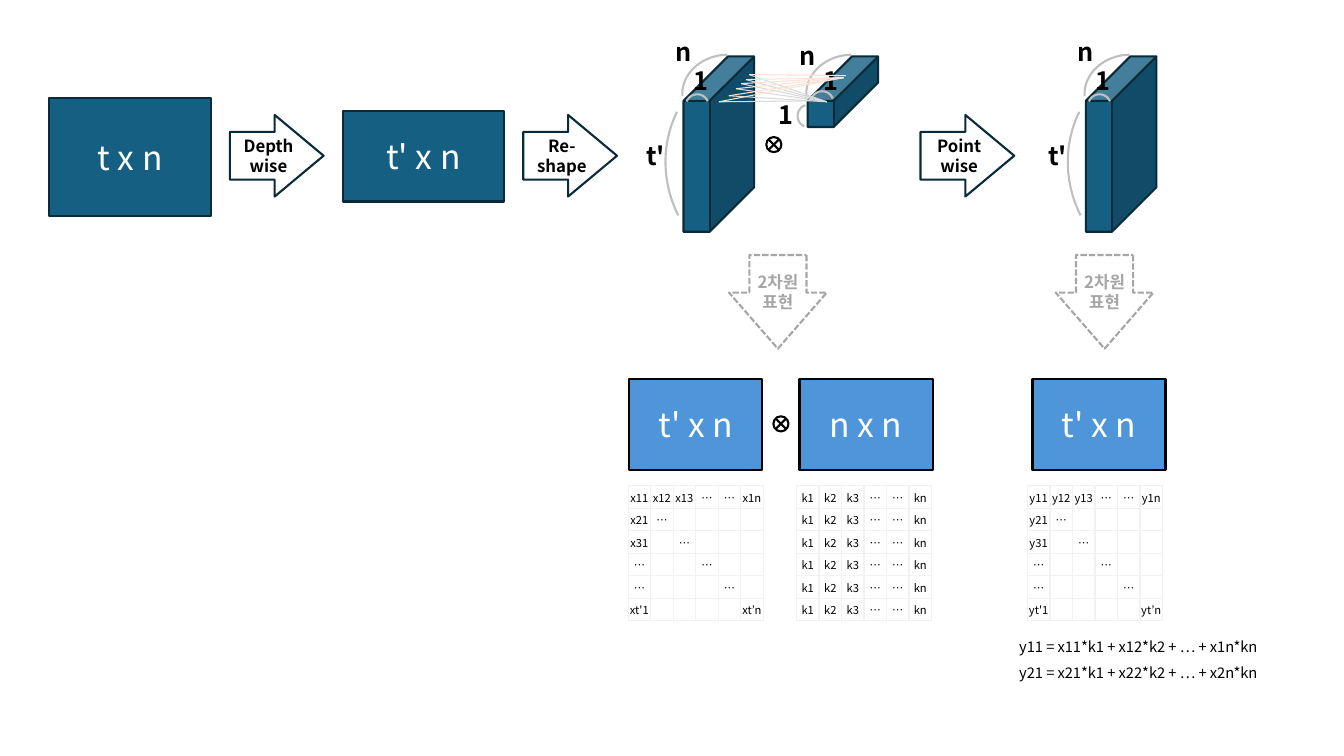
from copy import deepcopy

from lxml.etree import SubElement
from pptx import Presentation
from pptx.dml.color import RGBColor as Rgb
from pptx.enum.dml import MSO_LINE
from pptx.enum.shapes import MSO_CONNECTOR, MSO_SHAPE as Shape
from pptx.enum.text import MSO_ANCHOR as Anchor, MSO_AUTO_SIZE as AutoSize, PP_ALIGN as Align
from pptx.oxml.ns import qn
from pptx.util import Pt

PX = 9144
FONT = "Noto Sans CJK KR"
COLORS = {"teal": "156082", "navy": "092A39", "blue": "4E95D9", "white": "FFFFFF", "black": "000000",
          "arc": "BFBFBF", "dash": "A6A6A6", "grid": "F2F2F2", "gray": "D9D9D9", "peach": "FBE3D6"}
TOP_ARC = {"rotation": 259.2, "adjust": (164.729, 8.504)}
SIDE_ARC = {"rotation": 222.1, "adjust": (175.66, 207.082)}
UNIT_ARC = {"rotation": 270, "adjust": (172.412, 43.102)}
GRID_SIZE = 6


def color(name):
    """Return a named colour."""
    return Rgb.from_string(COLORS[name])


def emu(*lengths):
    """Turn px lengths into EMU."""
    return [round(length * PX) for length in lengths]


def write(frame, text, size, ink="black", bold=False, **layout):
    """Fill a text frame; newlines split paragraphs, vertical tabs break lines."""
    frame.text = text
    for para in frame.paragraphs:
        for name, value in layout.items():
            setattr(para, name, value)
        for span in para.runs:
            for name, value in {"size": Pt(size), "bold": bold, "name": FONT}.items():
                setattr(span.font, name, value)
            span.font.color.rgb = color(ink)
            SubElement(span.font._element, qn("a:ea")).set("typeface", FONT)
        for line_break in para._p.findall(qn("a:br")):
            line_break.append(deepcopy(para.runs[0].font._element))


def add_shape(shapes, kind, box, fill, line, adjust=(), rotation=0):
    """Add a preset shape with an outline and an optional fill."""
    shape = shapes.add_shape(kind, *emu(*box))
    shape.shadow.inherit = False
    shape.rotation = rotation
    for index, value in enumerate(adjust):
        shape.adjustments[index] = value
    if fill:
        shape.fill.solid()
        shape.fill.fore_color.rgb = color(fill)
    else:
        shape.fill.background()
    shape.line.color.rgb = color(line)
    shape.line.width = Pt(1.5)
    return shape


def add_text(shapes, box, text, size, **style):
    """Add a wrapping text box that grows with its text."""
    frame = shapes.add_textbox(*emu(*box)).text_frame
    frame.word_wrap = True
    frame.auto_size = AutoSize.SHAPE_TO_FIT_TEXT
    write(frame, text, size, **style)


def add_matrix_box(shapes, box, text, fill, line):
    """Add a rectangle naming the size of a matrix."""
    shape = add_shape(shapes, Shape.RECTANGLE, box, fill, line)
    shape.text_frame.vertical_anchor = Anchor.MIDDLE
    write(shape.text_frame, text, 24, "white", alignment=Align.CENTER)


def add_step(shapes, box, text, line="navy", ink="black", down=False):
    """Add a labelled block arrow pointing right or down."""
    arrow = add_shape(shapes, Shape.RIGHT_ARROW, box, "white", line, (0.584, 0.599), 90 if down else 0)
    frame = arrow.text_frame
    margins = dict(zip(("margin_left", "margin_top", "margin_right", "margin_bottom"), emu(12, 0, 0, 0)))
    for name, value in {**margins, "vertical_anchor": Anchor.MIDDLE}.items():
        setattr(frame, name, value)
    if down:
        arrow.line.dash_style = MSO_LINE.SQUARE_DOT
        arrow.element.txBody.bodyPr.set("vert", "vert270")
    write(frame, text, 12, ink, True, alignment=Align.CENTER)


def add_cube(shapes, box, arcs, labels):
    """Add a cube with dimension arcs and labels offset from its corner."""
    left, top = box[:2]
    add_shape(shapes, Shape.CUBE, box, "teal", "navy", (0.63,))
    for (x, y, width, height), style in arcs:
        add_shape(shapes, Shape.ARC, (left + x, top + y, width, height), None, "arc", **style)
    for text, x, y, width in labels:
        add_text(shapes, (left + x, top + y, width, 40), text, 18, bold=True)


def add_tensor(shapes, left, top):
    """Add the tall t' by 1 by n cube."""
    add_cube(shapes, (left, top, 70, 174),
             [((5, -8, 72, 85), TOP_ARC), ((3, 37, 21, 22), UNIT_ARC), ((-20, -5, 237, 228), SIDE_ARC)],
             [("n", -18, -25, 26), ("1", 0, 4, 26), ("t'", -47, 78, 40)])


def add_kernel(shapes, left, top):
    """Add the 1 by 1 by n kernel cube."""
    add_cube(shapes, (left, top, 70, 70),
             [((5, -8, 72, 85), TOP_ARC), ((4, 34, 21, 22), UNIT_ARC),
              ((-10, 48, 21, 22), {**UNIT_ARC, "rotation": 183.2})],
             [("n", -18, -21, 26), ("1", 6, 4, 26), ("1", -39, 38, 26)])


def add_product(shapes, left, top):
    """Add the circled product sign."""
    add_shape(shapes, Shape.FLOWCHART_SUMMING_JUNCTION, (left, top, 15, 15), "white", "black")


def add_links(shapes, left, top):
    """Fan thin lines from the tensor's top edge to the kernel."""
    starts = [(0, 27), (10, 21), (17, 14), (22, 9), (27, 5), (30, 0)]
    fans = {"gray": [(101, 26)] + [(107, 27)] * 5, "peach": [(124, 3)] * 5 + [(126, 1)]}
    for name, ends in fans.items():
        for (x1, y1), (x2, y2) in zip(starts, ends):
            link = shapes.add_connector(MSO_CONNECTOR.STRAIGHT, *emu(left + x1, top + y1, left + x2, top + y2))
            link.line.color.rgb = color(name)
            link.line.width = Pt(0.75)
            SubElement(link.element.spPr, qn("a:effectLst"))


def matrix_values(name):
    """Return the cell texts of a t' by n matrix."""
    rows = [["…" if row == column else "" for column in range(GRID_SIZE)] for row in range(GRID_SIZE)]
    rows[0] = [f"{name}{end}" for end in ("11", "12", "13")] + ["…", "…", f"{name}1n"]
    for row, text in enumerate((f"{name}21", f"{name}31", "…", "…", f"{name}t'1"), 1):
        rows[row][0] = text
    rows[-1][-1] = f"{name}t’n"
    return rows


def style_cell(cell, text):
    """Give a cell its borders, fill and centred text."""
    for name in ("margin_left", "margin_top", "margin_right", "margin_bottom"):
        setattr(cell, name, 0)
    cell.vertical_anchor = Anchor.MIDDLE
    properties = cell._tc.get_or_add_tcPr()
    for side in ("lnL", "lnR", "lnT", "lnB"):
        border = SubElement(properties, qn(f"a:{side}"), w=str(Pt(1)))
        SubElement(SubElement(border, qn("a:solidFill")), qn("a:srgbClr"), val=COLORS["grid"])
    cell.fill.solid()
    cell.fill.fore_color.rgb = color("white")
    if text:
        write(cell.text_frame, text, 8, alignment=Align.CENTER)
    else:
        SubElement(cell.text_frame.paragraphs[0]._p, qn("a:endParaRPr"), sz="800")


def add_grid(shapes, left, top, values):
    """Add a square table of matrix entries."""
    table = shapes.add_table(GRID_SIZE, GRID_SIZE, *emu(left, top, 134, 134)).table
    table.first_row = table.horz_banding = False
    for column in table.columns:
        column.width = emu(134 / GRID_SIZE)[0]
    for row, texts in zip(table.rows, values):
        row.height = emu(134 / GRID_SIZE)[0]
        for cell, text in zip(row.cells, texts):
            style_cell(cell, text)


def add_pipeline(shapes, left, top):
    """Add the upper row from input matrix to output tensor."""
    add_matrix_box(shapes, (left, top + 41, 160, 117), "t x n", "teal", "navy")
    add_matrix_box(shapes, (left + 291, top + 54, 160, 90), "t' x n", "teal", "navy")
    for x, text in ((179, "Depth\vwise"), (470, "Re-\vshape"), (864, "Point\vwise")):
        add_step(shapes, (left + x, top + 58, 93, 81), text)
    add_tensor(shapes.add_group_shape().shapes, left + 1028, top)
    product = shapes.add_group_shape().shapes
    add_tensor(product, left + 629, top)
    add_kernel(product, left + 752, top)
    add_product(product, left + 711, top + 80)
    add_links(product, left + 664, top + 18)


def add_flat_view(shapes, left, top):
    """Add the two-dimensional view below the pipeline."""
    for x in (101, 425):
        add_step(shapes, (left + x, top, 93, 97), "2차원\n표현", "dash", "dash", True)
    product = shapes.add_group_shape().shapes
    for parent, x, text in ((product, 0, "t' x n"), (product, 169, "n x n"), (shapes, 400, "t' x n")):
        add_matrix_box(parent, (left + x, top + 125, 132, 90), text, "blue", "black")
    add_product(product, left + 143, top + 162)
    kernel = [["k1", "k2", "k3", "…", "…", "kn"]] * GRID_SIZE
    for x, values in ((-1, matrix_values("x")), (166, kernel), (395, matrix_values("y"))):
        add_grid(shapes, left + x, top + 231, values)
    formulas = [f"y{row}1 = x{row}1*k1 + x{row}2*k2 + … + x{row}n*kn" for row in (1, 2)]
    add_text(shapes, (left + 377, top + 368, 282, 60), "\n".join(formulas), 10.5, line_spacing=1.5)


def main():
    """Build and save the deck."""
    deck = Presentation()
    deck.slide_width, deck.slide_height = emu(1333, 750)
    page = deck.slides.add_slide(deck.slide_layouts[6])
    add_pipeline(page.shapes, 49, 56)
    add_flat_view(page.shapes, 624, 251)
    deck.save("out.pptx")


if __name__ == "__main__":
    main()
